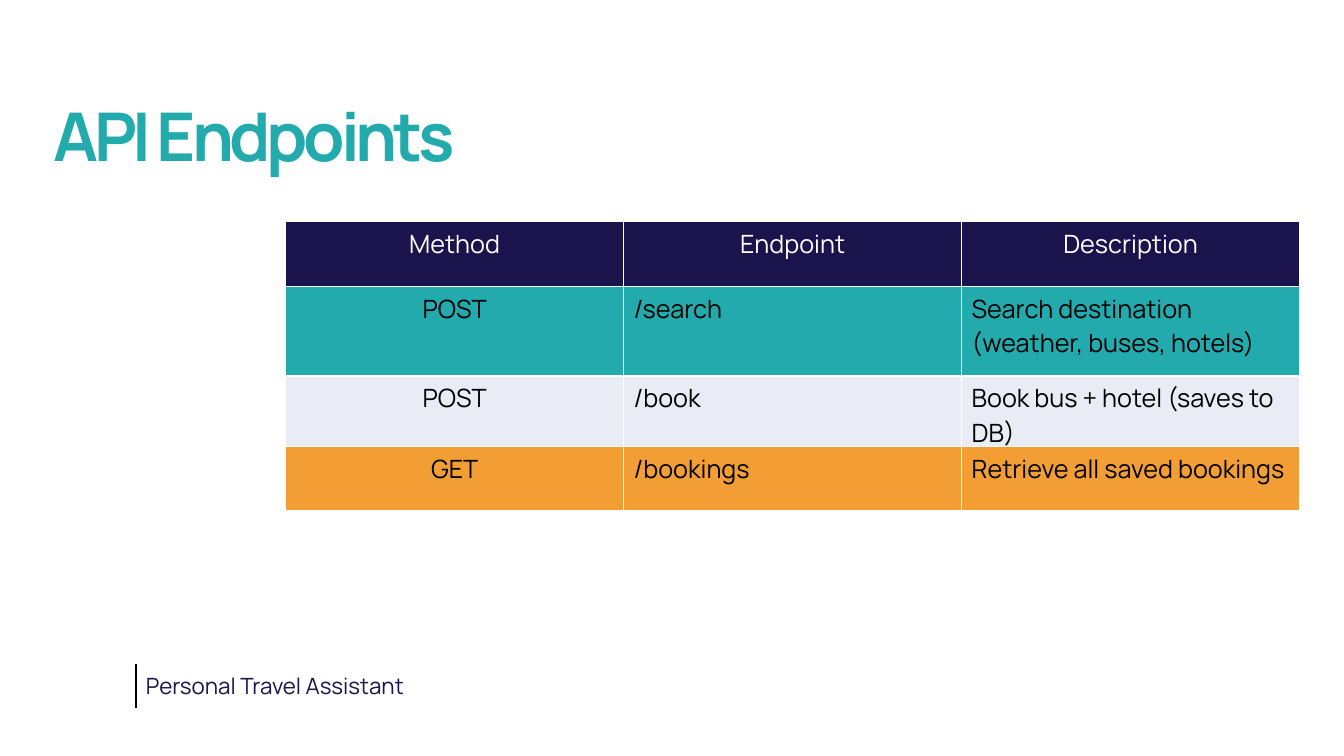
from lxml.etree import SubElement
from pptx import Presentation
from pptx.dml.color import RGBColor
from pptx.enum.shapes import MSO_CONNECTOR
from pptx.enum.text import MSO_ANCHOR, MSO_AUTO_SIZE, PP_ALIGN
from pptx.oxml.ns import qn
from pptx.util import Inches, Pt

COLORS = {
    "navy": "1B134C",
    "teal": "23AAAD",
    "orange": "F39E34",
    "mist": "E9EBF5",
    "white": "FFFFFF",
    "black": "000000",
}
GRID_COLUMNS, GRID_ROWS = 40, 30

ENDPOINTS = [
    ("Method", "Endpoint", "Description"),
    ("POST", "/search", "Search destination (weather, buses, hotels)"),
    ("POST", "/book", "Book bus + hotel (saves to DB)"),
    ("GET", "/bookings", "Retrieve all saved bookings"),
]
ROW_FILLS = ["navy", "teal", "mist", "orange"]
ROW_HEIGHTS = [2.56, 3.56, 2.56, 2.56]


class SlideBuilder:
    """Holds the style and the current slide; lengths are grid columns and rows."""

    font_name = "Manrope"

    def __init__(self, deck):
        self.column = deck.slide_width / GRID_COLUMNS
        self.row = deck.slide_height / GRID_ROWS
        self.page = deck.slides.add_slide(deck.slide_layouts[5])

    def across(self, columns):
        return round(columns * self.column)

    def down(self, rows):
        return round(rows * self.row)

    def area(self, left, top, width, height):
        return self.across(left), self.down(top), self.across(width), self.down(height)

    def color(self, name):
        return RGBColor.from_string(COLORS[name])

    def fill_text(self, frame, text, size, color, align=PP_ALIGN.LEFT, bold=False):
        """Put one paragraph in the frame and return its run."""
        frame.text = text
        para = frame.paragraphs[0]
        para.alignment = align
        span = para.runs[0]
        span.font.name = self.font_name
        span.font.size = Pt(size)
        span.font.bold = bold
        span.font.color.rgb = self.color(color)
        return span

    def title(self, text, *place):
        box = self.page.shapes.title
        box.left, box.top, box.width, box.height = self.area(*place)
        frame = box.text_frame
        frame.word_wrap = True
        frame.auto_size = MSO_AUTO_SIZE.SHAPE_TO_FIT_TEXT
        frame.vertical_anchor = MSO_ANCHOR.TOP
        span = self.fill_text(frame, text, 48, "teal", bold=True)
        span._r.get_or_add_rPr().set("spc", "-300")
        para = frame.paragraphs[0]
        para.line_spacing = 0.7
        para.space_before = Pt(0)

    def label(self, text, *place):
        frame = self.page.shapes.add_textbox(*self.area(*place)).text_frame
        frame.word_wrap = True
        frame.auto_size = MSO_AUTO_SIZE.SHAPE_TO_FIT_TEXT
        self.fill_text(frame, text, 16, "navy")

    def vertical_rule(self, left, top, bottom):
        x = self.across(left)
        rule = self.page.shapes.add_connector(
            MSO_CONNECTOR.STRAIGHT, x, self.down(top), x, self.down(bottom))
        rule.line.color.rgb = self.color("black")
        rule.line.width = Pt(1.5)
        SubElement(rule._element.spPr, qn("a:effectLst"))

    def cell_borders(self, cell):
        properties = cell._tc.get_or_add_tcPr()
        for index, side in enumerate(("a:lnL", "a:lnR", "a:lnT", "a:lnB")):
            border = SubElement(properties, qn(side), w=str(Pt(1)))
            fill = SubElement(border, qn("a:solidFill"))
            SubElement(fill, qn("a:srgbClr"), val=COLORS["white"])
            properties.insert(index, border)

    def table(self, rows, fills, heights, left, top, column_width):
        count = len(rows[0])
        place = self.area(left, top, column_width * count, sum(heights))
        grid = self.page.shapes.add_table(len(rows), count, *place).table
        for column in grid.columns:
            column.width = self.across(column_width)
        for r, (texts, fill, height) in enumerate(zip(rows, fills, heights)):
            grid.rows[r].height = self.down(height)
            for c, text in enumerate(texts):
                cell = grid.cell(r, c)
                cell.fill.solid()
                cell.fill.fore_color.rgb = self.color(fill)
                self.cell_borders(cell)
                align = PP_ALIGN.CENTER if r == 0 or c == 0 else PP_ALIGN.LEFT
                self.fill_text(cell.text_frame, text, 18, "black" if r else "white", align)


def main():
    deck = Presentation()
    deck.slide_width, deck.slide_height = Inches(13.33), Inches(7.5)
    builder = SlideBuilder(deck)
    builder.title("API Endpoints", 1.29, 4.4, 14.37, 2.84)
    builder.label("Personal Travel Assistant", 4.05, 26.48, 14.37, 1.48)
    builder.vertical_rule(4.05, 26.36, 28.08)
    builder.table(ENDPOINTS, ROW_FILLS, ROW_HEIGHTS, 8.5, 8.8, 10.06)
    deck.save("out.pptx")


if __name__ == "__main__":
    main()
